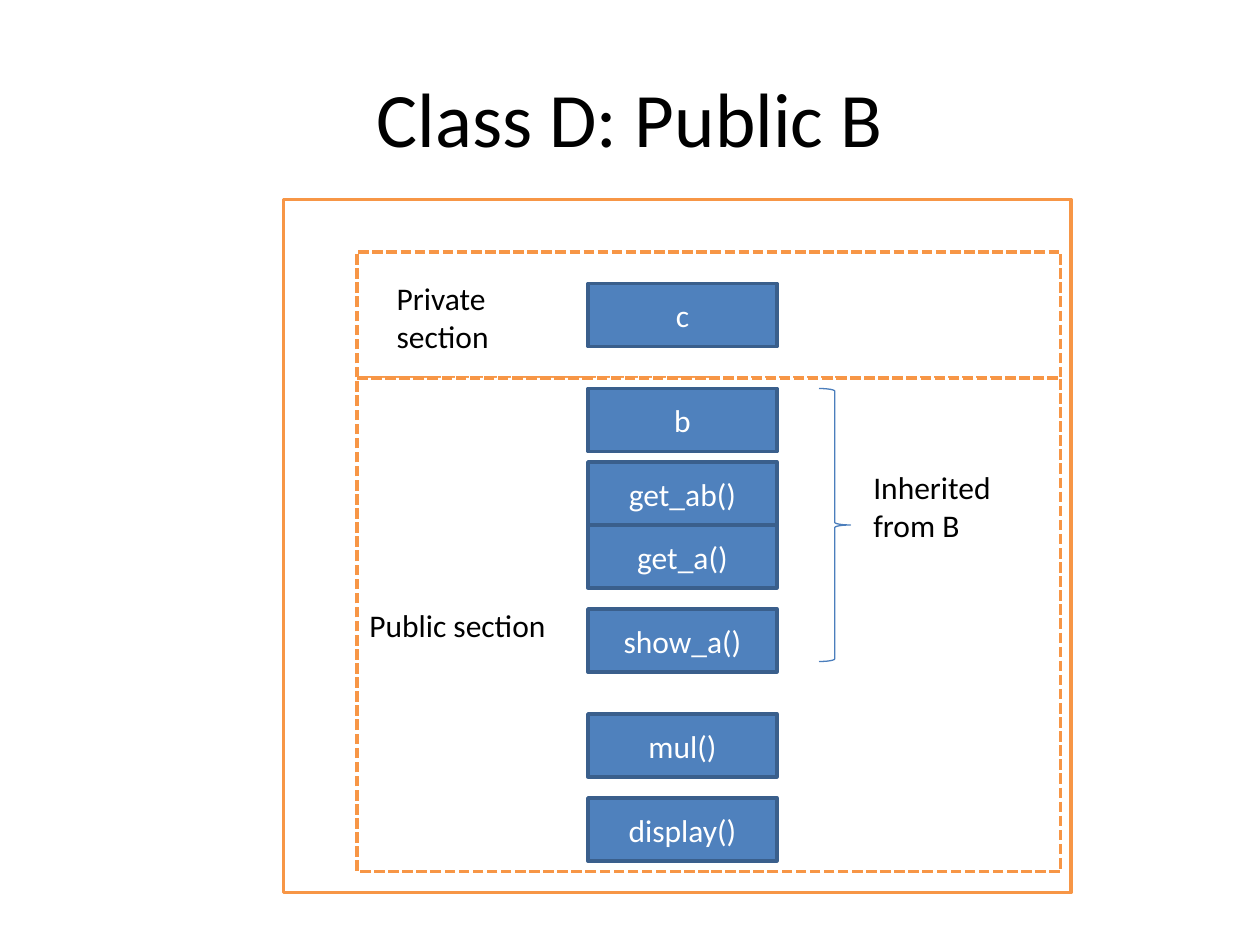
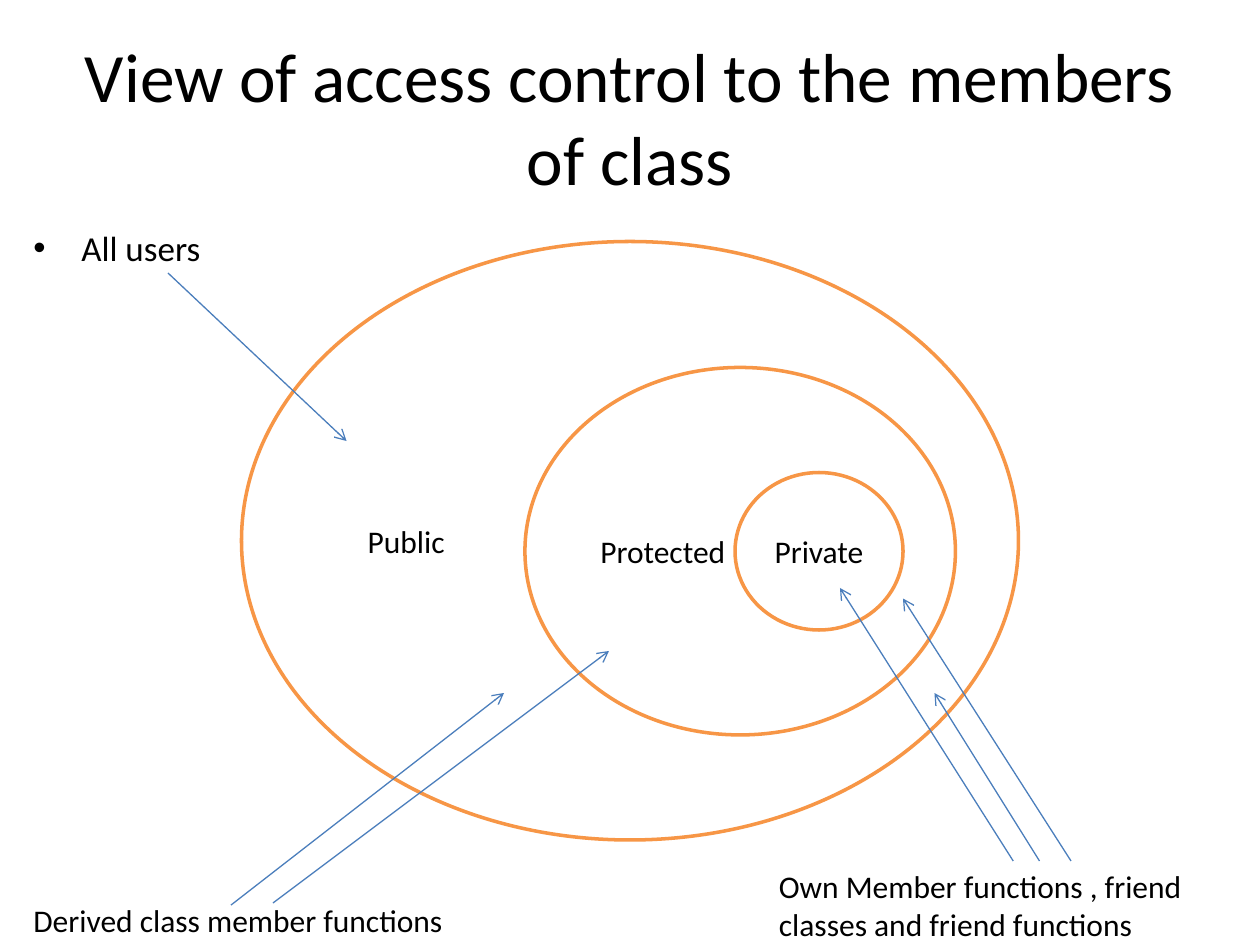
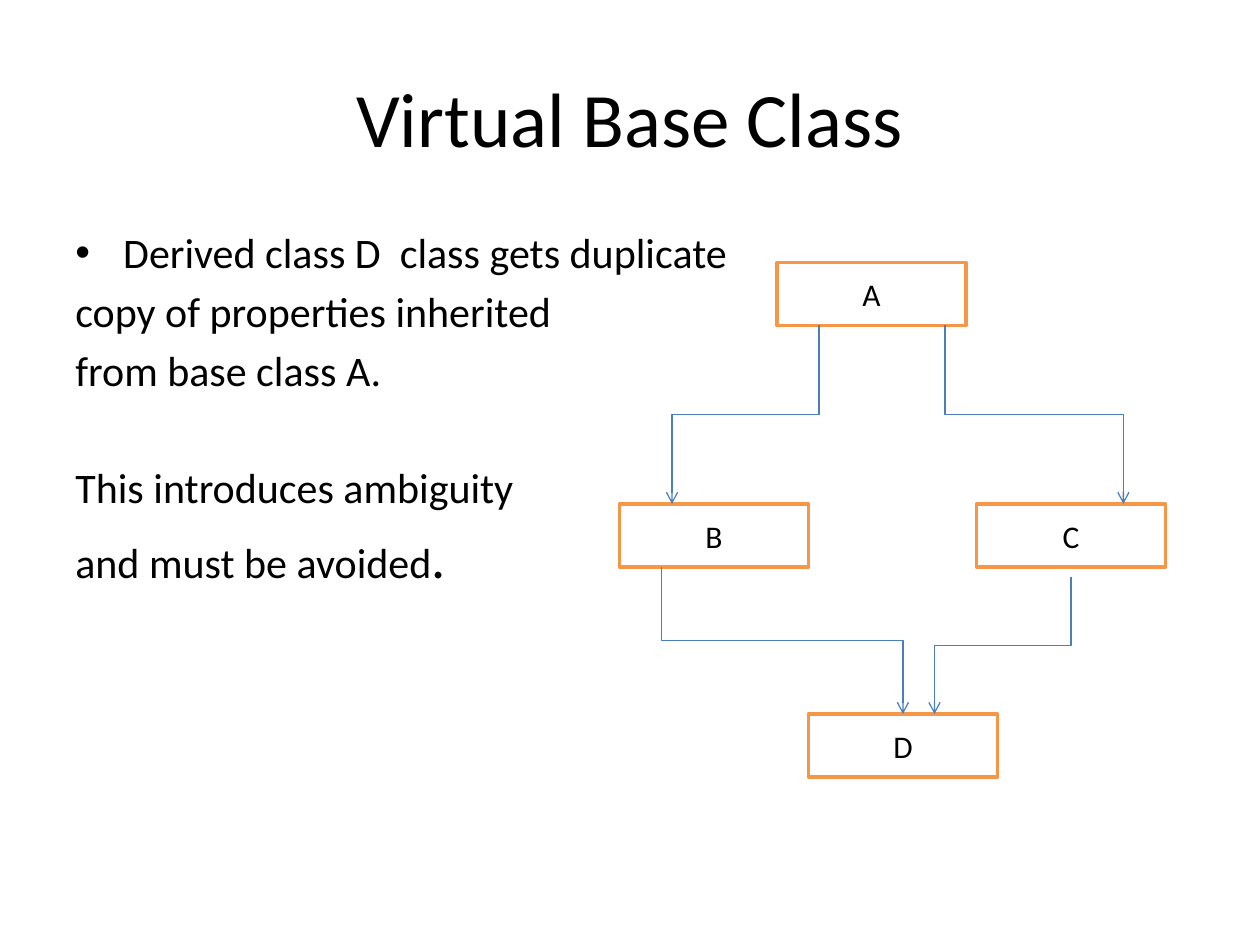
from dataclasses import dataclass

from lxml.etree import SubElement
from pptx import Presentation
from pptx.dml.color import RGBColor
from pptx.enum.dml import MSO_LINE
from pptx.enum.shapes import MSO_CONNECTOR, MSO_SHAPE
from pptx.enum.text import MSO_ANCHOR, PP_ALIGN
from pptx.oxml.ns import qn
from pptx.util import Inches, Pt


@dataclass(frozen=True)
class Theme:
    """Colours, type sizes and line widths shared by the slides."""

    font: str = "Calibri"
    ink: str = "000000"
    paper: str = "FFFFFF"
    accent: str = "F79646"
    member: str = "4F81BD"
    member_edge: str = "3A5F8C"
    arrow: str = "4B7EBC"
    title: float = 44
    long_title: float = 39.6
    full_stop: float = 32
    body: float = 24
    note: float = 20
    label: float = 18
    outline: float = 2
    hairline: float = 0.75
    spacing: float = 0.2
    hanging: float = 0.38


class Deck:
    """Draws styled elements on the current slide, on a grid of 120 columns by 90 rows."""

    COLUMNS, ROWS = 120, 90
    BOX = (18, 6)

    def __init__(self, theme):
        """Start an empty 10 by 7.5 inch presentation."""
        self.theme = theme
        self.presentation = Presentation()
        self.presentation.slide_width = Inches(10)
        self.presentation.slide_height = Inches(7.5)
        self.slide = None

    def x(self, columns):
        """Turn columns into a length."""
        return round(self.presentation.slide_width * columns / self.COLUMNS)

    def y(self, rows):
        """Turn rows into a length."""
        return round(self.presentation.slide_height * rows / self.ROWS)

    def area(self, left, top, width, height):
        """Turn a grid area into lengths."""
        return self.x(left), self.y(top), self.x(width), self.y(height)

    def new_slide(self, heading, size=None):
        """Open a blank slide with a centred heading."""
        self.slide = self.presentation.slides.add_slide(self.presentation.slide_layouts[6])
        self.text((6, 3.6, 108, 15), heading, size or self.theme.title,
                  PP_ALIGN.CENTER, MSO_ANCHOR.MIDDLE)

    def run(self, paragraph, wording, size, colour=None):
        """Append one styled run."""
        run = paragraph.add_run()
        run.text = wording
        run.font.name = self.theme.font
        run.font.size = Pt(size)
        run.font.color.rgb = RGBColor.from_string(colour or self.theme.ink)

    def frame(self, area, anchor=MSO_ANCHOR.TOP):
        """Add an empty wrapping text frame."""
        frame = self.slide.shapes.add_textbox(*self.area(*area)).text_frame
        frame.word_wrap = True
        frame.vertical_anchor = anchor
        return frame

    def text(self, area, wording, size=None, align=PP_ALIGN.LEFT, anchor=MSO_ANCHOR.TOP):
        """Add a plain text."""
        paragraph = self.frame(area, anchor).paragraphs[0]
        paragraph.alignment = align
        self.run(paragraph, wording, size or self.theme.label)

    def body(self, area, paragraphs):
        """Add hanging paragraphs of (runs, space before), the first one bulleted."""
        frame = self.frame(area)
        for index, (runs, space) in enumerate(paragraphs):
            paragraph = frame.add_paragraph() if index else frame.paragraphs[0]
            largest = max(size for _, size in runs)
            paragraph.space_before = Pt(space or largest * self.theme.spacing)
            for wording, size in runs:
                self.run(paragraph, wording, size)
            properties = paragraph._p.get_or_add_pPr()
            properties.set("marL", str(Inches(self.theme.hanging)))
            properties.set("indent", str(-Inches(self.theme.hanging)))
            if index == 0:
                SubElement(properties, qn("a:buFont"), typeface="Arial")
                SubElement(properties, qn("a:buChar"), char="•")

    def stroke(self, line, colour, width):
        """Style a line."""
        line.color.rgb = RGBColor.from_string(colour)
        line.width = Pt(width)

    def region(self, area, wording="", kind=MSO_SHAPE.RECTANGLE, align=PP_ALIGN.LEFT,
               fill=None, edge=None, ink=None, dash=None):
        """Add an outlined shape with an optional label."""
        region = self.slide.shapes.add_shape(kind, *self.area(*area))
        region.shadow.inherit = False
        region.fill.solid()
        region.fill.fore_color.rgb = RGBColor.from_string(fill or self.theme.paper)
        self.stroke(region.line, edge or self.theme.accent, self.theme.outline)
        if dash:
            region.line.dash_style = dash
        if wording:
            region.text_frame.vertical_anchor = MSO_ANCHOR.MIDDLE
            paragraph = region.text_frame.paragraphs[0]
            paragraph.alignment = align
            self.run(paragraph, wording, self.theme.label, ink)

    def member(self, left, top, wording):
        """Add a filled class member box."""
        self.region((left, top, *self.BOX), wording, align=PP_ALIGN.CENTER,
                    fill=self.theme.member, edge=self.theme.member_edge, ink=self.theme.paper)

    def brace(self, area):
        """Add a right brace."""
        brace = self.slide.shapes.add_shape(MSO_SHAPE.RIGHT_BRACE, *self.area(*area))
        brace.shadow.inherit = False
        brace.fill.background()
        self.stroke(brace.line, self.theme.arrow, self.theme.hairline)

    def connect(self, kind, *ends):
        """Add a connector with an open arrowhead at its end."""
        connector = self.slide.shapes.add_connector(kind, *ends)
        self.stroke(connector.line, self.theme.arrow, self.theme.hairline)
        properties = connector.element.spPr
        SubElement(properties.find(qn("a:ln")), qn("a:tailEnd"), type="arrow")
        SubElement(properties, qn("a:effectLst"))
        return properties.find(qn("a:xfrm"))

    def arrow(self, start, end):
        """Add a straight arrow between two grid points."""
        self.connect(MSO_CONNECTOR.STRAIGHT, self.x(start[0]), self.y(start[1]),
                     self.x(end[0]), self.y(end[1]))

    def elbow(self, start, end):
        """Add an arrow that leaves downwards and bends halfway."""
        x1, y1, x2, y2 = self.x(start[0]), self.y(start[1]), self.x(end[0]), self.y(end[1])
        centre_x, centre_y = (x1 + x2) // 2, (y1 + y2) // 2
        rightward = x2 > x1
        reach = (y2 - y1) // 2 * (-1 if rightward else 1)
        rise = abs(x2 - x1) // 2
        transform = self.connect(MSO_CONNECTOR.ELBOW, centre_x - reach, centre_y - rise,
                                 centre_x + reach, centre_y + rise)
        transform.set("rot", str((270 if rightward else 90) * 60000))


def public_inheritance(deck):
    """Show the sections of class D."""
    deck.new_slide("Class D: Public B")
    deck.region((27, 19, 75, 66))
    deck.region((34, 24, 67, 12), dash=MSO_LINE.SQUARE_DOT)
    deck.region((34, 36, 67, 47), "Public section", dash=MSO_LINE.SQUARE_DOT)
    deck.text((36.6, 26, 13.4, 8.5), "Private section")
    members = {"c": 27, "b": 37, "get_ab()": 44, "get_a()": 50,
               "show_a()": 58, "mul()": 68, "display()": 76}
    for wording, top in members.items():
        deck.member(56, top, wording)
    deck.brace((78, 37, 3, 26))
    deck.text((82, 44, 18, 8.5), "Inherited from B")


def access_control(deck):
    """Show who reaches which members."""
    deck.new_slide("View of access control to the members of class", deck.theme.long_title)
    deck.body((2, 21, 112, 59.4), [([("All users", deck.theme.note)], None)])
    for area, wording, align in (
        ((23, 23, 74, 57), "Public", PP_ALIGN.LEFT),
        ((50, 35, 41, 35), "Protected", PP_ALIGN.LEFT),
        ((70, 45, 16, 15), "Private", PP_ALIGN.CENTER),
    ):
        deck.region(area, wording, MSO_SHAPE.OVAL, align)
    deck.text((2, 85.2, 44, 4.8), "Derived class member functions")
    deck.text((73, 82, 47, 8),
              "Own Member functions , friend classes and friend functions")
    for start, end in (
        ((16, 26), (33, 42)),
        ((22, 86.2), (48, 66)),
        ((26, 86), (58, 62)),
        ((96.5, 82), (80, 56)),
        ((99, 82), (89, 66)),
        ((102, 82), (86, 57)),
    ):
        deck.arrow(start, end)


def virtual_base(deck):
    """Show the diamond of classes A to D."""
    size = deck.theme.body
    deck.new_slide("Virtual Base Class")
    deck.body((6, 21, 108, 59.4), [
        ([("Derived class D  class gets duplicate", size)], None),
        ([("copy of properties inherited", size)], None),
        ([("from base class A.", size)], None),
        ([("This introduces ambiguity", size)], 38),
        ([("and must be avoided", size), (".", deck.theme.full_stop)], None),
    ])
    for wording, left, top in (("B", 59, 48), ("C", 93, 48), ("D", 77, 68), ("A", 74, 25)):
        deck.region((left, top, *deck.BOX), wording, align=PP_ALIGN.CENTER)
    for start, end in (
        ((78, 31), (64, 48)),
        ((90, 31), (107, 48)),
        ((102, 55), (89, 68)),
        ((63, 54), (86, 68)),
    ):
        deck.elbow(start, end)


def main():
    """Build and save the slides."""
    deck = Deck(Theme())
    public_inheritance(deck)
    access_control(deck)
    virtual_base(deck)
    deck.presentation.save("out.pptx")


if __name__ == "__main__":
    main()
